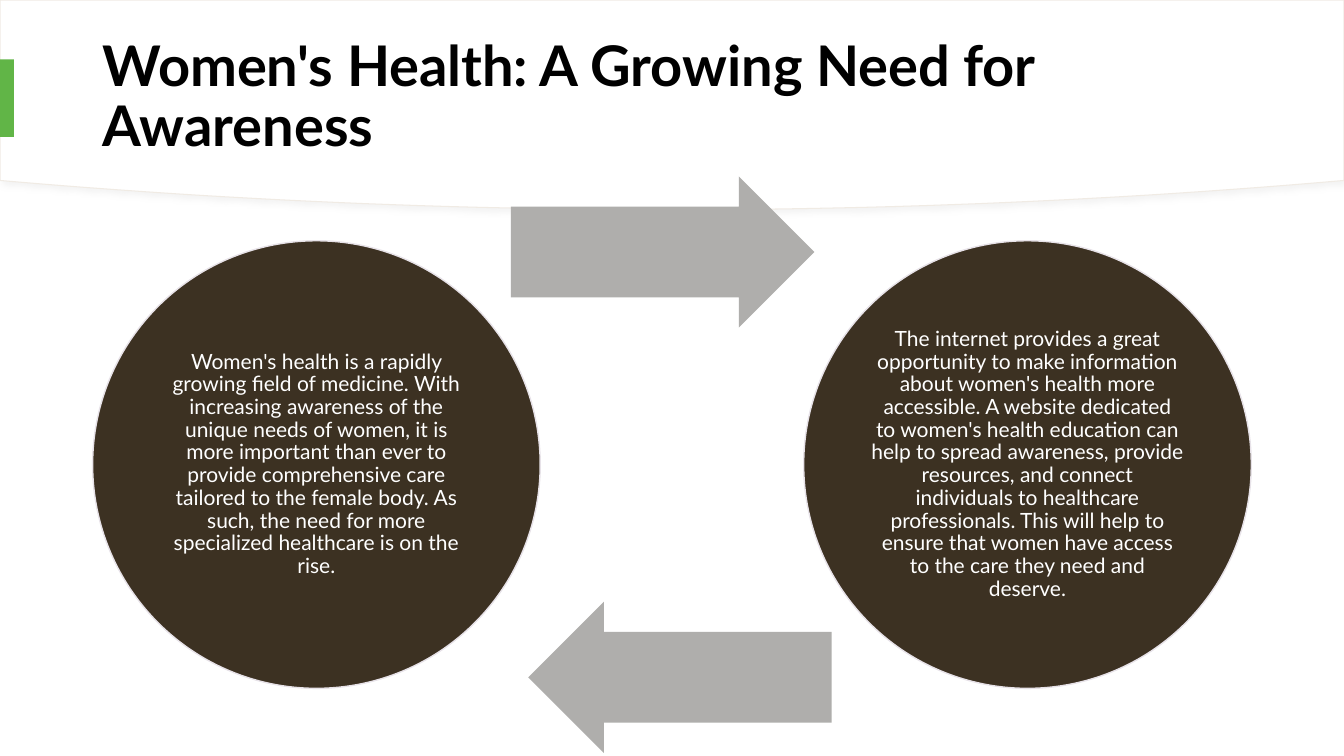
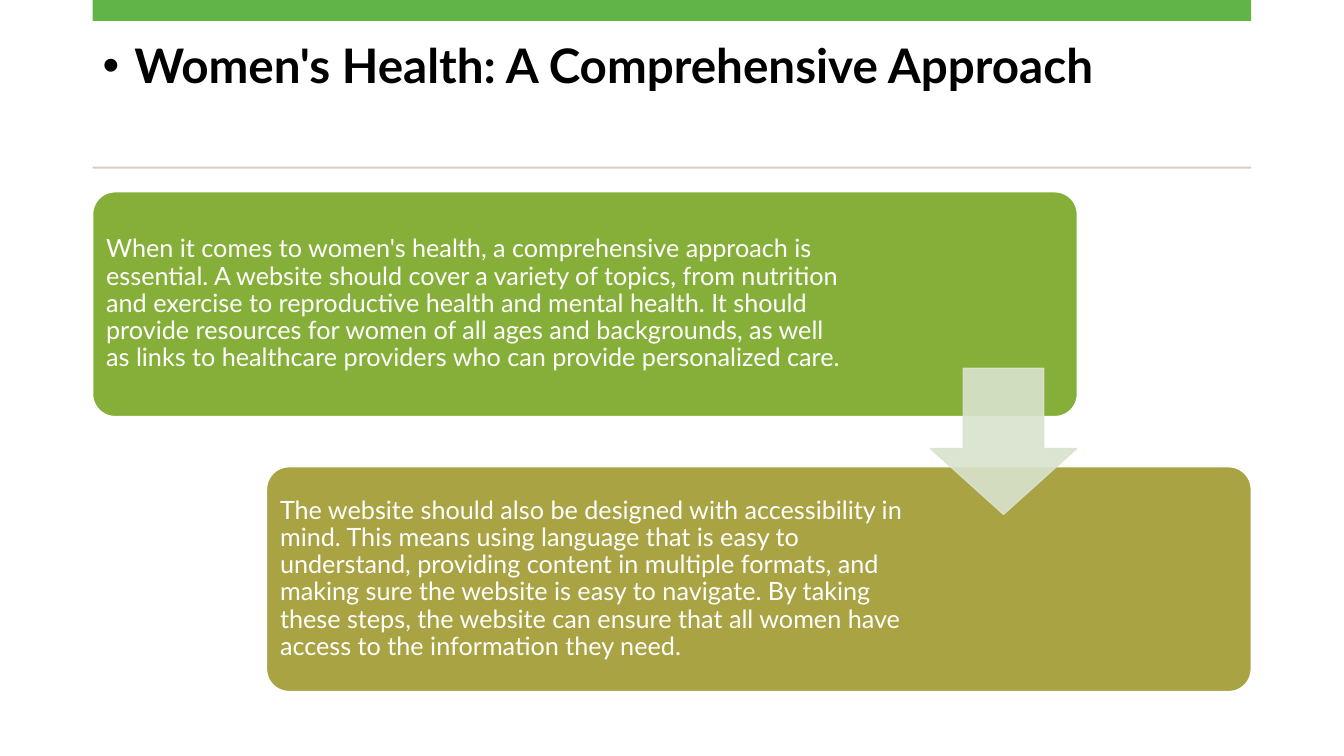
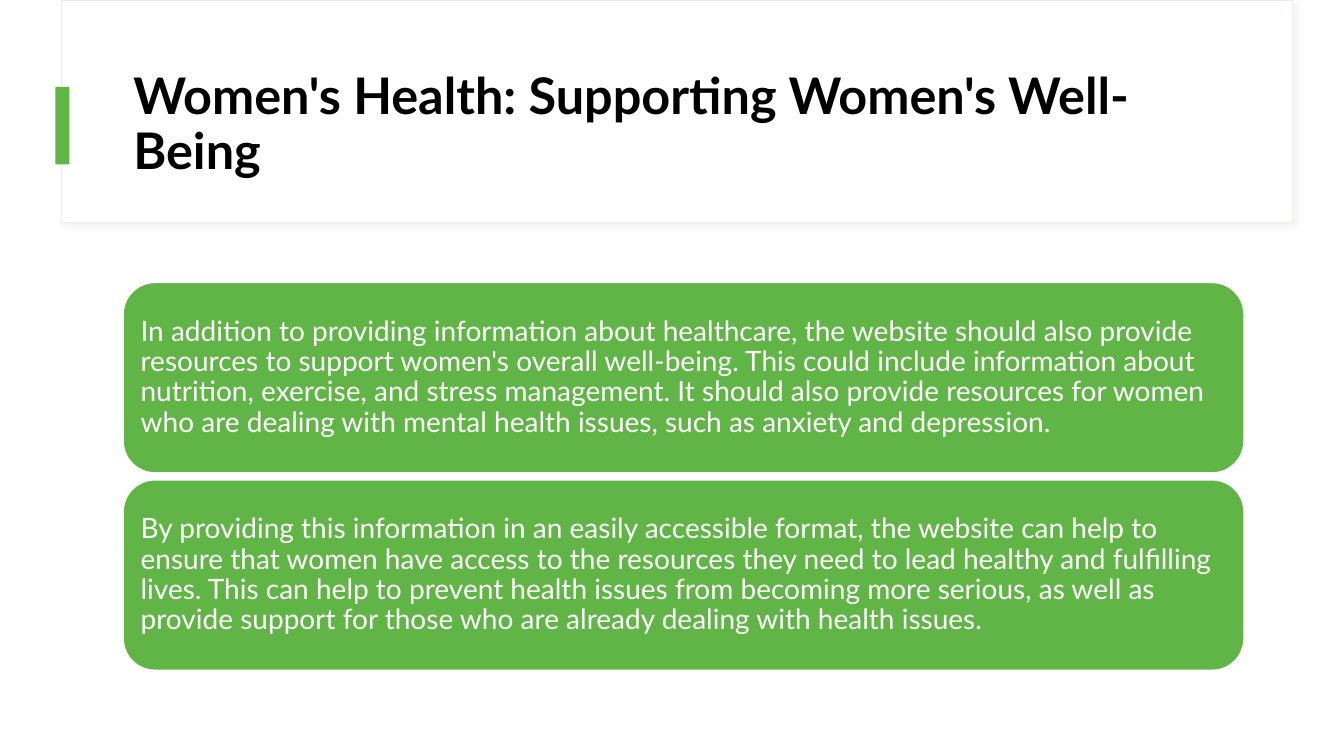
"""Build three slides about women's health."""
from lxml.etree import SubElement
from pptx import Presentation
from pptx.dml.color import RGBColor
from pptx.enum.shapes import MSO_SHAPE as KIND
from pptx.enum.text import MSO_ANCHOR, MSO_AUTO_SIZE, PP_ALIGN
from pptx.oxml.ns import qn
from pptx.util import Pt

FONT = "Lato"
WIDE, HIGH = 960, 540
GREEN, LIME, OLIVE, BROWN = "61B547", "86AF3A", "AAA343", "3C3122"
WHITE, BLACK, GREY, PALE = "FFFFFF", "000000", "AFAEAC", "D9E3CE"
EDGE, RULE, RIM, SHADE = "F0EBE4", "D9CDBD", "E7E2E8", "D9D9D9"
LEFT = 66.2

NEED = "Women's Health: A Growing Need for Awareness"
CIRCLES = [
    "Women's health is a rapidly growing field of medicine. With increasing awareness of the "
    "unique needs of women, it is more important than ever to provide comprehensive care "
    "tailored to the female body. As such, the need for more specialized healthcare is on the rise.",
    "The internet provides a great opportunity to make information about women's health more "
    "accessible. A website dedicated to women's health education can help to spread awareness, "
    "provide resources, and connect individuals to healthcare professionals. This will help to "
    "ensure that women have access to the care they need and deserve.",
]
ARROWS = [(365, 126, 0), (377.3, 429.8, 180)]

PLAN = "Women's Health: A Comprehensive Approach"
STEPS = [
    ("When it comes to women's health, a comprehensive approach is essential. A website should "
     "cover a variety of topics, from nutrition and exercise to reproductive health and mental "
     "health. It should provide resources for women of all ages and backgrounds, as well as links "
     "to healthcare providers who can provide personalized care.", LIME, 162),
    ("The website should also be designed with accessibility in mind. This means using language "
     "that is easy to understand, providing content in multiple formats, and making sure the "
     "website is easy to navigate. By taking these steps, the website can ensure that all women "
     "have access to the information they need.", OLIVE, 233.6),
]

CARE = "Women's Health: Supporting Women's Well-Being"
CARDS = [
    "In addition to providing information about healthcare, the website should also provide "
    "resources to support women's overall well-being. This could include information about "
    "nutrition, exercise, and stress management. It should also provide resources for women who "
    "are dealing with mental health issues, such as anxiety and depression.",
    "By providing this information in an easily accessible format, the website can help to ensure "
    "that women have access to the resources they need to lead healthy and fulfilling lives. This "
    "can help to prevent health issues from becoming more serious, as well as provide support for "
    "those who are already dealing with health issues.",
]


def color(code):
    return RGBColor.from_string(code)


def write(shape, text, size, tint=WHITE, bold=False, align=PP_ALIGN.LEFT,
          anchor=MSO_ANCHOR.MIDDLE, pad=(7.2, 3.6, 7.2, 3.6)):
    frame = shape.text_frame
    frame.word_wrap = True
    frame.auto_size = MSO_AUTO_SIZE.NONE
    frame.vertical_anchor = anchor
    (frame.margin_left, frame.margin_top,
     frame.margin_right, frame.margin_bottom) = map(Pt, pad)
    para = frame.paragraphs[0]
    para.alignment, para.line_spacing = align, 0.9
    run = para.add_run()
    run.text = text
    font = run.font
    font.name, font.size, font.bold = FONT, Pt(size), bold
    font.color.rgb = color(tint)
    return para


def paint(shape, fill, line=None, width=1):
    shape.shadow.inherit = False
    shape.fill.solid()
    shape.fill.fore_color.rgb = color(fill)
    if line:
        shape.line.color.rgb = color(line)
        shape.line.width = Pt(width)
    else:
        shape.line.fill.background()
    return shape


def draw(slide, kind, box, fill, line=None, width=1, adjust=()):
    shape = slide.shapes.add_shape(kind, *map(Pt, box))
    for index, value in enumerate(adjust):
        shape.adjustments[index] = value
    return paint(shape, fill, line, width)


def shade(shape):
    effects = shape.element.spPr.find(qn("a:effectLst"))
    shadow = SubElement(effects, qn("a:outerShdw"), blurRad=str(Pt(4)),
                        dist=str(Pt(3)), dir=str(45 * 60000), rotWithShape="0")
    tone = SubElement(shadow, qn("a:srgbClr"), val=SHADE)
    SubElement(tone, qn("a:alpha"), val="30000")


def fade(shape, percent):
    for tone in shape.element.spPr.iter(qn("a:srgbClr")):
        SubElement(tone, qn("a:alpha"), val=str(percent * 1000))


def head(slide, text, box, size, **style):
    title = slide.shapes.title
    title.left, title.top, title.width, title.height = map(Pt, box)
    title.element.getparent().append(title.element)
    return write(title, text, size, BLACK, True, **style)


def curve(slide, middle=149.8, rise=20.9, count=48):
    arc = [(WIDE * (1 - i / count), middle - rise * (1 - 2 * i / count) ** 2)
           for i in range(count + 1)]
    build = slide.shapes.build_freeform(Pt(0), Pt(0))
    build.add_line_segments([(Pt(x), Pt(y)) for x, y in [(WIDE, 0), *arc]], close=True)
    shade(paint(build.convert_to_shape(), WHITE, EDGE, 0.75))


def need(slide):
    curve(slide)
    head(slide, NEED, (LEFT, 20.2, 828, 100), 40)
    draw(slide, KIND.RECTANGLE, (0, 42.5, 10, 55.4), GREEN)
    size = 319.7
    for left, text in zip((LEFT, WIDE - LEFT - size), CIRCLES):
        disc = draw(slide, KIND.OVAL, (left, 172, size, size), BROWN, RIM)
        write(disc, text, 15, align=PP_ALIGN.CENTER, pad=[1.4] * 4)
    for left, top, turn in ARROWS:
        arrow = draw(slide, KIND.RIGHT_ARROW, (left, top, 216.7, 108), GREY, adjust=(0.6, 0.5))
        arrow.rotation = turn


def plan(slide):
    span = WIDE - 2 * LEFT
    para = head(slide, PLAN, (LEFT, 26.6, span, 85), 34, anchor=MSO_ANCHOR.TOP)
    props = para._p.get_or_add_pPr()
    props.set("marL", str(Pt(22.5)))
    props.set("indent", str(Pt(-22.5)))
    SubElement(props, qn("a:buFont"), typeface="Arial")
    SubElement(props, qn("a:buChar"), char="•")
    draw(slide, KIND.RECTANGLE, (LEFT, 0, span, 15), GREEN)
    draw(slide, KIND.RECTANGLE, (LEFT, 119, span, 1.5), RULE)
    for i, (text, fill, right) in enumerate(STEPS):
        box = (LEFT + 124.2 * i, 137 + 196.4 * i, 703.4, 160.6)
        card = draw(slide, KIND.ROUNDED_RECTANGLE, box, fill, WHITE, adjust=[0.1])
        write(card, text, 18, pad=(5, 5, right, 5))
    arrow = draw(slide, KIND.DOWN_ARROW, (664.6, 263, 104.4, 104.4), PALE, PALE,
                 adjust=(0.55, 0.45))
    fade(arrow, 90)


def care(slide):
    shade(draw(slide, KIND.RECTANGLE, (44, 0, 879, 159), WHITE, EDGE, 0.75))
    draw(slide, KIND.RECTANGLE, (39.5, 62, 10, 55.4), GREEN)
    head(slide, CARE, (88, 43.2, 800.6, 93), 36)
    for i, text in enumerate(CARDS):
        box = (88, 201.8 + 141 * i, 800.6, 136)
        card = draw(slide, KIND.ROUNDED_RECTANGLE, box, GREEN, WHITE)
        write(card, text, 20, pad=[5.8] * 4)


def main():
    deck = Presentation()
    deck.slide_width, deck.slide_height = Pt(WIDE), Pt(HIGH)
    for build in (need, plan, care):
        build(deck.slides.add_slide(deck.slide_layouts[5]))
    deck.save("out.pptx")


if __name__ == "__main__":
    main()
